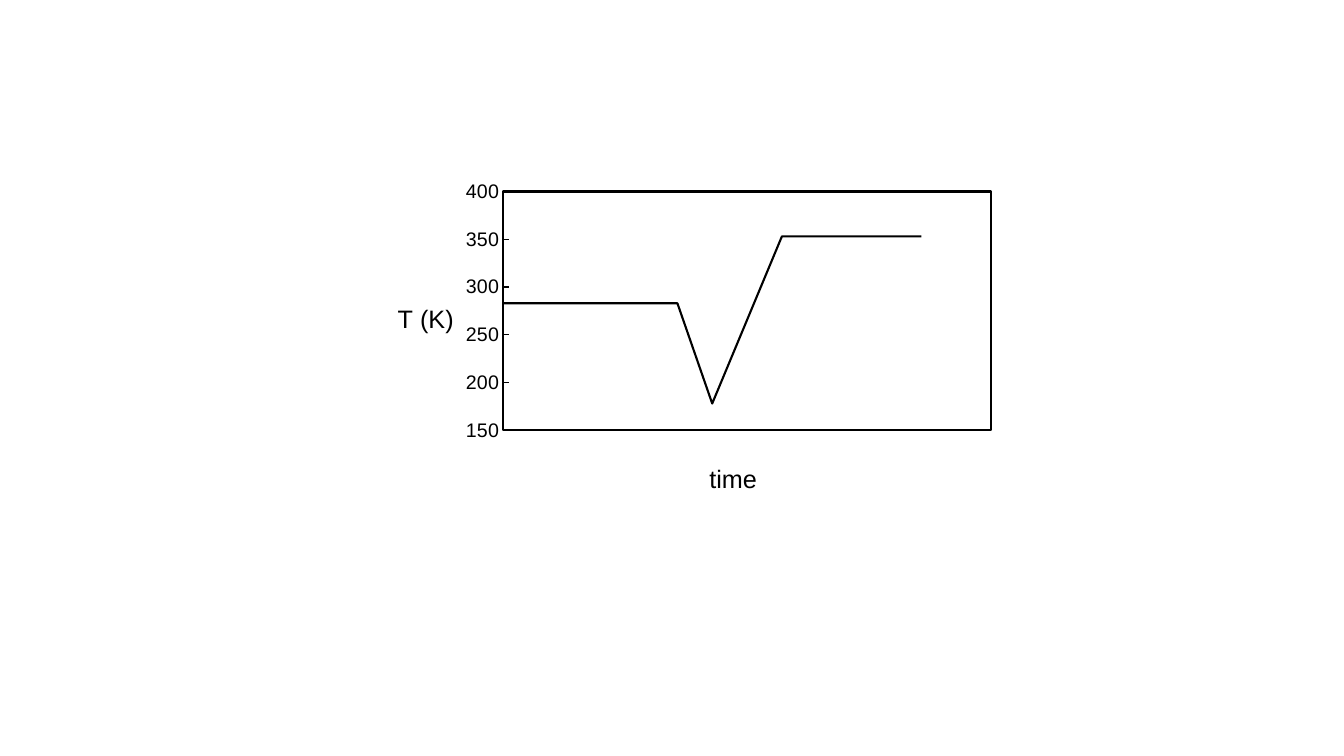
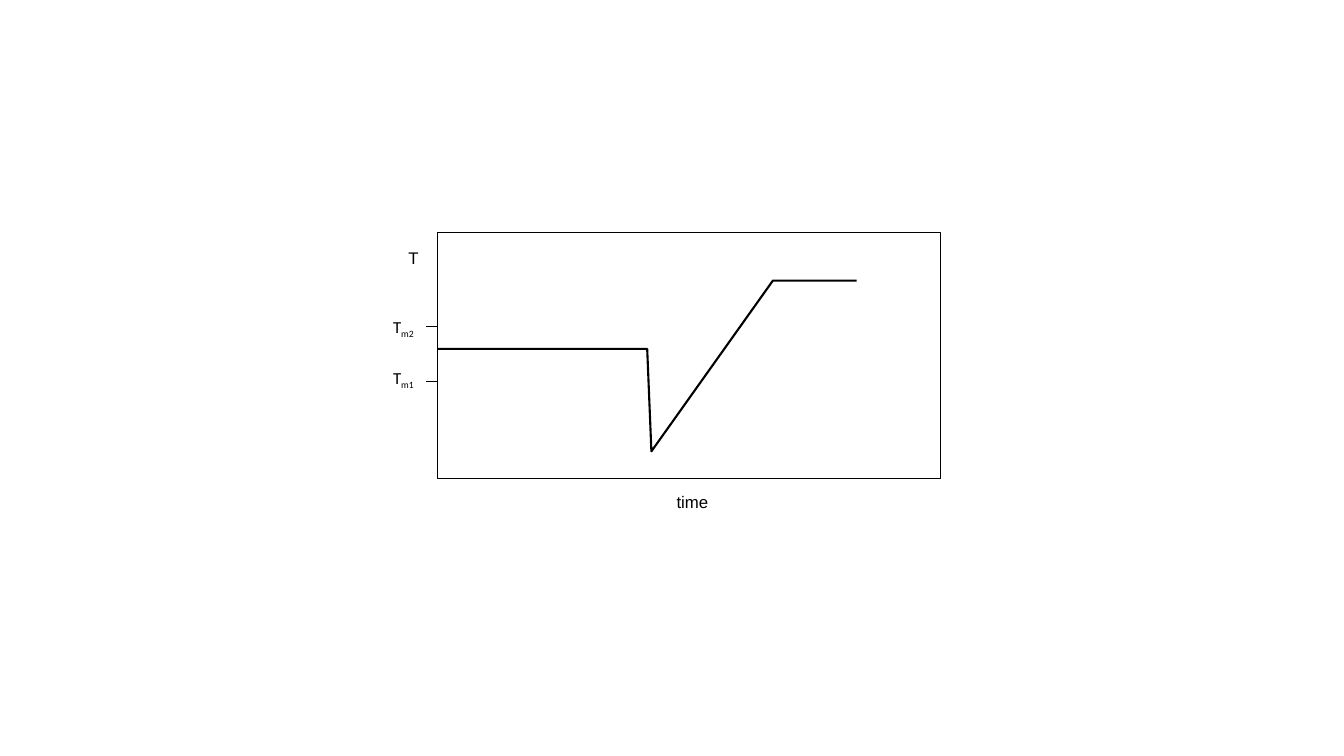
"""Build two slides that plot temperature against time."""
from lxml.etree import SubElement
from pptx import Presentation
from pptx.chart.data import XyChartData
from pptx.dml.color import RGBColor
from pptx.enum.chart import XL_CHART_TYPE, XL_TICK_LABEL_POSITION, XL_TICK_MARK
from pptx.enum.shapes import MSO_CONNECTOR
from pptx.enum.text import MSO_AUTO_SIZE
from pptx.oxml import parse_xml
from pptx.oxml.ns import nsdecls, qn
from pptx.util import Inches, Pt

BLACK = RGBColor(0, 0, 0)
CURVE_WIDTH = 1.5
AXIS_WIDTH = 0.75

CHARTS = [
    {
        "frame": (3.67, 1.73, 6.29, 3.32),
        "plot": (4.99, 1.9, 4.84, 2.37),
        "points": [(0, 283), (5, 283), (6, 178), (8, 353), (12, 353)],
        "time_range": (0, 14),
        "temperature_range": (150, 400),
        "step": 50,
        "time_title": ("time", 6.99, 4.54),
        "temperature_title": ("T (K)", 3.9, 2.95),
        "title_size": 18,
        "label_size": 14,
        "border": 1.5,
        "melting_points": [],
    },
    {
        "frame": (3.89, 2.25, 5.56, 3),
        "plot": (4.34, 2.31, 4.99, 2.44),
        "points": [(0, 80), (5, 80), (5.1, 50), (8, 100), (10, 100)],
        "time_range": (0, 12),
        "temperature_range": (42, 114),
        "step": 10,
        "time_title": ("time", 6.68, 4.85),
        "temperature_title": ("T", 4.02, 2.43),
        "title_size": 12,
        "label_size": None,
        "border": 0.75,
        "melting_points": [("m1", 3.6, 3.78), ("m2", 3.09, 3.24)],
    },
]


def set_layout(element, index, frame, left, top, size=None):
    """Place a chart part, given in slide inches, inside the chart frame."""
    for old in element.findall(qn("c:layout")):
        element.remove(old)
    frame_left, frame_top, frame_width, frame_height = frame
    layout = parse_xml(f"<c:layout {nsdecls('c')}><c:manualLayout/></c:layout>")
    values = []
    if size:
        values.append(("layoutTarget", "inner"))
    values += [("xMode", "edge"), ("yMode", "edge"),
               ("x", (left - frame_left) / frame_width),
               ("y", (top - frame_top) / frame_height)]
    if size:
        values += [("w", size[0] / frame_width), ("h", size[1] / frame_height)]
    for name, value in values:
        SubElement(layout[0], qn(f"c:{name}")).set("val", str(value))
    element.insert(index, layout)


def style_axis(axis, limits, title, title_size, frame):
    """Set the scale and the placed title of one axis."""
    axis.minimum_scale, axis.maximum_scale = limits
    axis.has_major_gridlines = False
    axis.major_tick_mark = axis.minor_tick_mark = XL_TICK_MARK.NONE
    axis.tick_label_position = XL_TICK_LABEL_POSITION.NONE
    axis.format.line.fill.background()
    text, left, top = title
    text_frame = axis.axis_title.text_frame
    run = text_frame.paragraphs[0].add_run()
    run.text = text
    run.font.name = "Arial"
    run.font.size = Pt(title_size)
    run.font.bold = False
    run.font.color.rgb = BLACK
    body = text_frame._txBody.find(qn("a:bodyPr"))
    body.set("rot", "0")
    body.set("vert", "horz")
    set_layout(axis.axis_title._element, 1, frame, left, top)


def add_temperature_chart(slide, content):
    """Draw the curve of temperature over time in a bordered plot."""
    data = XyChartData()
    curve = data.add_series("Series 1")
    for time, temperature in content["points"]:
        curve.add_data_point(time, temperature)
    frame = content["frame"]
    chart = slide.shapes.add_chart(
        XL_CHART_TYPE.XY_SCATTER_LINES_NO_MARKERS,
        *map(Inches, frame), data).chart
    chart.has_legend = False
    chart.has_title = False
    chart.font.name = "Arial"
    chart.font.size = Pt(10)
    chart.font.color.rgb = BLACK
    plot = chart.plots[0]
    plot.vary_by_categories = False
    series = plot.series[0]
    series.smooth = False
    series.format.line.color.rgb = BLACK
    series.format.line.width = Pt(CURVE_WIDTH)

    size = content["title_size"]
    style_axis(chart.category_axis, content["time_range"],
               content["time_title"], size, frame)
    axis = chart.value_axis
    style_axis(axis, content["temperature_range"],
               content["temperature_title"], size, frame)
    axis.major_unit = content["step"]
    if content["label_size"]:
        axis.major_tick_mark = XL_TICK_MARK.INSIDE
        axis.tick_label_position = XL_TICK_LABEL_POSITION.NEXT_TO_AXIS
        axis.tick_labels.font.size = Pt(content["label_size"])
        axis.tick_labels.font.name = "Arial"
        axis.tick_labels.font.color.rgb = BLACK
        axis.format.line.color.rgb = BLACK
        axis.format.line.width = Pt(AXIS_WIDTH)

    area = chart._chartSpace.find(f".//{qn('c:plotArea')}")
    left, top, width, height = content["plot"]
    set_layout(area, 0, frame, left, top, (width, height))
    area.append(parse_xml(
        f"<c:spPr {nsdecls('c', 'a')}><a:noFill/>"
        f"<a:ln w=\"{Pt(content['border'])}\"><a:solidFill>"
        f"<a:srgbClr val=\"{BLACK}\"/></a:solidFill></a:ln></c:spPr>"))


def add_melting_label(slide, subscript, top):
    """Write T with a subscript beside the temperature axis."""
    box = slide.shapes.add_textbox(*map(Inches, (3.8, top, 0.42, 0.3)))
    box.text_frame.word_wrap = False
    box.text_frame.auto_size = MSO_AUTO_SIZE.SHAPE_TO_FIT_TEXT
    paragraph = box.text_frame.paragraphs[0]
    for text, baseline in (("T", 0), (subscript, -25000)):
        run = paragraph.add_run()
        run.text = text
        run.font.name = "Calibri"
        run.font.size = Pt(12)
        run.font.color.rgb = BLACK
        if baseline:
            run.font._element.set("baseline", str(baseline))


def add_melting_tick(slide, height):
    """Mark a melting temperature on the axis."""
    tick = slide.shapes.add_connector(
        MSO_CONNECTOR.STRAIGHT, Inches(4.23), Inches(height),
        Inches(4.34), Inches(height))
    tick.line.color.rgb = BLACK
    tick.line.width = Pt(0.5)
    SubElement(tick._element.spPr, qn("a:effectLst"))


presentation = Presentation()
presentation.slide_width = Inches(13.33)
presentation.slide_height = Inches(7.5)
for content in CHARTS:
    slide = presentation.slides.add_slide(presentation.slide_layouts[6])
    add_temperature_chart(slide, content)
    for subscript, label_top, tick_height in content["melting_points"]:
        add_melting_label(slide, subscript, label_top)
        add_melting_tick(slide, tick_height)
presentation.save("out.pptx")
